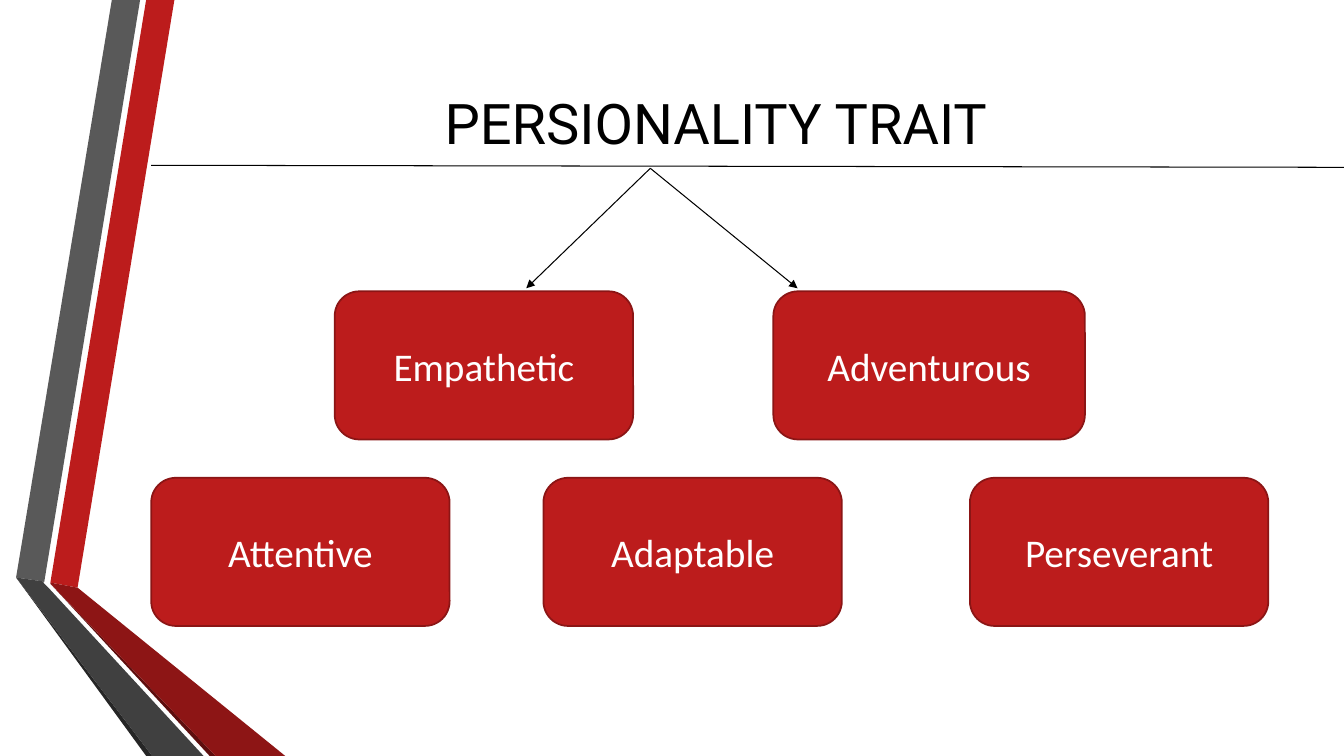
import pptx
import pptx.util
import pptx.dml.color
import pptx.enum.shapes
import pptx.enum.text
import pptx.oxml.ns
from lxml import etree

WIDTH, HEIGHT = 13.33, 7.5
COLORS = {
    "red": "BC1C1C", "red edge": "8B1515", "red fold": "8D1515", "red shade": "5E0E0E",
    "gray": "595959", "gray fold": "404040", "gray shade": "262626",
    "black": "000000", "white": "FFFFFF",
}
TITLE = "PERSIONALITY TRAIT"
TITLE_BOX = (1.62, 0.59, 10.96, 1.25)
RIBBONS = [
    ("red", [(0.5, 5.78), (0.77, 5.83), (1.73, 0), (1.45, 0)]),
    ("gray", [(1.39, 0), (1.11, 0), (0.16, 5.73), (0.44, 5.77)]),
    ("gray shade", [(0.16, 5.73), (1.45, HEIGHT), (1.51, HEIGHT)]),
    ("red shade", [(0.5, 5.79), (2.08, HEIGHT), (2.14, HEIGHT)]),
    ("red fold", [(0.5, 5.78), (0.5, 5.79), (2.14, HEIGHT), (2.83, HEIGHT), (0.77, 5.83)]),
    ("gray fold", [(2.02, HEIGHT), (0.48, 5.83), (0.43, 5.78), (0.44, 5.77),
                   (0.16, 5.73), (1.51, HEIGHT)]),
]
CARD_WIDTH, CARD_HEIGHT = 2.96, 1.47
FIRST_ROW, ROW_STEP = 2.89, 1.85
TRAIT_ROWS = [
    [("Empathetic", 3.32, CARD_WIDTH), ("Adventurous", 7.67, 3.09)],
    [("Attentive", 1.5, CARD_WIDTH), ("Adaptable", 5.39, CARD_WIDTH),
     ("Perseverant", 9.62, CARD_WIDTH)],
]
FORK = (6.45, 1.67)
LINES = [
    ((1.5, 1.64), (WIDTH, 1.66), False),
    (FORK, (5.22, 2.86), True),
    (FORK, (7.91, 2.86), True),
]


def inches(values):
    return [pptx.util.Inches(value) for value in values]


def color(name):
    return pptx.dml.color.RGBColor.from_string(COLORS[name])


def fill_shape(shape, name):
    shape.shadow.inherit = False
    shape.fill.solid()
    shape.fill.fore_color.rgb = color(name)


def write_text(shape, text, font_name, size, color_name):
    frame = shape.text_frame
    frame.word_wrap = True
    frame.vertical_anchor = pptx.enum.text.MSO_ANCHOR.MIDDLE
    paragraph = frame.paragraphs[0]
    paragraph.text = text
    paragraph.alignment = pptx.enum.text.PP_ALIGN.CENTER
    paragraph.font.name = font_name
    paragraph.font.size = pptx.util.Pt(size)
    paragraph.font.color.rgb = color(color_name)


def add_ribbon(slide, name, points):
    corners = [inches(point) for point in points]
    builder = slide.shapes.build_freeform(*corners[0])
    builder.add_line_segments(corners[1:], close=True)
    shape = builder.convert_to_shape()
    fill_shape(shape, name)
    shape.line.fill.background()


def add_card(slide, text, left, top, width):
    shape = slide.shapes.add_shape(
        pptx.enum.shapes.MSO_SHAPE.ROUNDED_RECTANGLE,
        *inches((left, top, width, CARD_HEIGHT)))
    fill_shape(shape, "red")
    shape.line.color.rgb = color("red edge")
    shape.line.width = pptx.util.Pt(1.25)
    write_text(shape, text, "Calibri", 28, "white")


def add_line(slide, start, end, has_arrow):
    connector = slide.shapes.add_connector(
        pptx.enum.shapes.MSO_CONNECTOR.STRAIGHT, *inches(start + end))
    connector.line.color.rgb = color("black")
    connector.line.width = pptx.util.Pt(0.75)
    qn = pptx.oxml.ns.qn
    properties = connector.element.spPr
    if has_arrow:
        etree.SubElement(properties.find(qn("a:ln")), qn("a:tailEnd"), type="triangle")
    etree.SubElement(properties, qn("a:effectLst"))


def main():
    presentation = pptx.Presentation()
    presentation.slide_width, presentation.slide_height = inches((WIDTH, HEIGHT))
    slide = presentation.slides.add_slide(presentation.slide_layouts[6])
    for name, points in RIBBONS:
        add_ribbon(slide, name, points)
    title = slide.shapes.add_textbox(*inches(TITLE_BOX))
    write_text(title, TITLE, "Roboto", 40, "black")
    for row, traits in enumerate(TRAIT_ROWS):
        for text, left, width in traits:
            add_card(slide, text, left, FIRST_ROW + row * ROW_STEP, width)
    for start, end, has_arrow in LINES:
        add_line(slide, start, end, has_arrow)
    presentation.save("out.pptx")


if __name__ == "__main__":
    main()
